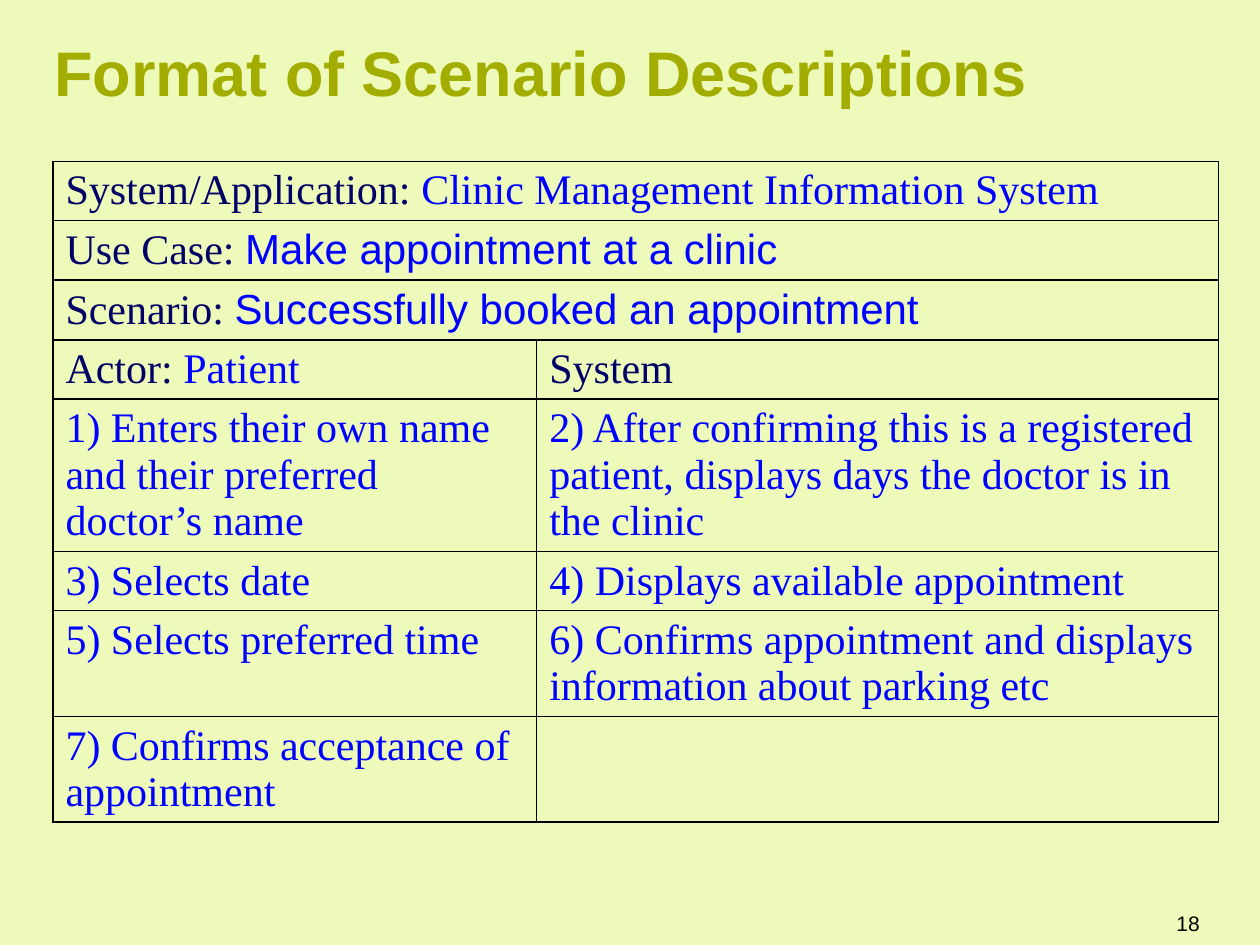
from dataclasses import dataclass

from lxml.etree import SubElement
from pptx import Presentation
from pptx.dml.color import RGBColor
from pptx.enum.text import MSO_ANCHOR, PP_ALIGN
from pptx.oxml.ns import qn
from pptx.util import Inches, Pt


@dataclass(frozen=True)
class Theme:
    """Colours, fonts and type sizes of the slide."""
    background: str = "EEFAB9"
    title: str = "A2AD00"
    label: str = "000066"
    entry: str = "0000FF"
    ink: str = "000000"
    sans: str = "Arial"
    serif: str = "Times New Roman"
    title_size: int = 36
    table_size: int = 24
    number_size: int = 12
    border: int = 1


THEME = Theme()

HEADINGS = [
    ("System/Application: ", "Clinic Management Information System", THEME.serif),
    ("Use Case: ", "Make appointment at a clinic", THEME.sans),
    ("Scenario: ", "Successfully booked an appointment", THEME.sans),
]
STEPS = [
    ("1) Enters their own name and their preferred doctor’s name",
     "2) After confirming this is a registered patient, displays days the doctor is in the clinic"),
    ("3) Selects date", "4) Displays available appointment"),
    ("5) Selects preferred time",
     "6) Confirms appointment and displays information about parking etc"),
    ("7) Confirms acceptance of appointment", ""),
]
COLUMN_WIDTHS = [3.84, 5.41]
ROW_HEIGHTS = [0.47] * 4 + [1.21, 0.47, 0.84, 0.84]


def add_run(paragraph, text, size, font, color, bold=False):
    """Append one formatted run to a paragraph."""
    run = paragraph.add_run()
    run.text = text
    run.font.size = Pt(size)
    run.font.name = font
    run.font.bold = bold
    run.font.color.rgb = RGBColor.from_string(color)


def add_title(slide, text):
    """Place and fill the title placeholder."""
    title = slide.shapes.title
    title.left, title.top = Inches(0.43), Inches(0.21)
    title.width, title.height = Inches(9.25), Inches(0.71)
    frame = title.text_frame
    frame.margin_left = 0
    frame.word_wrap = True
    frame.vertical_anchor = MSO_ANCHOR.MIDDLE
    paragraph = frame.paragraphs[0]
    paragraph.alignment = PP_ALIGN.LEFT
    add_run(paragraph, text, THEME.title_size, THEME.sans, THEME.title, bold=True)


def style_cell(cell):
    """Give a cell thin borders on all sides and no fill."""
    properties = cell._tc.get_or_add_tcPr()
    for side in ("a:lnL", "a:lnR", "a:lnT", "a:lnB"):
        line = SubElement(properties, qn(side), w=str(Pt(THEME.border)))
        fill = SubElement(line, qn("a:solidFill"))
        SubElement(fill, qn("a:srgbClr"), val=THEME.ink)
    cell.fill.background()


def fill_cell(cell, label="", entry="", entry_font=THEME.serif):
    """Write an optional label followed by an optional entry."""
    paragraph = cell.text_frame.paragraphs[0]
    if label:
        add_run(paragraph, label, THEME.table_size, THEME.serif, THEME.label)
    if entry:
        add_run(paragraph, entry, THEME.table_size, entry_font, THEME.entry)


def add_scenario_table(slide):
    """Build the table of scenario headings and actor/system steps."""
    table = slide.shapes.add_table(
        len(ROW_HEIGHTS), len(COLUMN_WIDTHS), Inches(0.42), Inches(1.28),
        Inches(sum(COLUMN_WIDTHS)), Inches(sum(ROW_HEIGHTS))).table
    table.first_row = table.horz_banding = False
    for column, width in zip(table.columns, COLUMN_WIDTHS):
        column.width = Inches(width)
    for row, height in zip(table.rows, ROW_HEIGHTS):
        row.height = Inches(height)
    for cell in table.iter_cells():
        style_cell(cell)
    for row, (label, entry, font) in enumerate(HEADINGS):
        table.cell(row, 0).merge(table.cell(row, 1))
        fill_cell(table.cell(row, 0), label, entry, font)
    roles_row = len(HEADINGS)
    fill_cell(table.cell(roles_row, 0), "Actor: ", "Patient")
    fill_cell(table.cell(roles_row, 1), "System")
    for row, step in enumerate(STEPS, roles_row + 1):
        for column, entry in enumerate(step):
            fill_cell(table.cell(row, column), entry=entry)


def add_page_number(slide, number):
    """Add the page number at the lower right."""
    frame = slide.shapes.add_textbox(
        Inches(8.07), Inches(7.13), Inches(1.55), Inches(0.4)).text_frame
    frame.word_wrap = True
    frame.vertical_anchor = MSO_ANCHOR.MIDDLE
    paragraph = frame.paragraphs[0]
    paragraph.alignment = PP_ALIGN.RIGHT
    add_run(paragraph, number, THEME.number_size, THEME.sans, THEME.ink)


def main():
    """Build and save the slide."""
    deck = Presentation()
    deck.slide_width, deck.slide_height = Inches(10), Inches(7.5)
    slide = deck.slides.add_slide(deck.slide_layouts.get_by_name("Title Only"))
    background = slide.background.fill
    background.solid()
    background.fore_color.rgb = RGBColor.from_string(THEME.background)
    add_title(slide, "Format of Scenario Descriptions")
    add_scenario_table(slide)
    add_page_number(slide, "18")
    deck.save("out.pptx")


if __name__ == "__main__":
    main()
